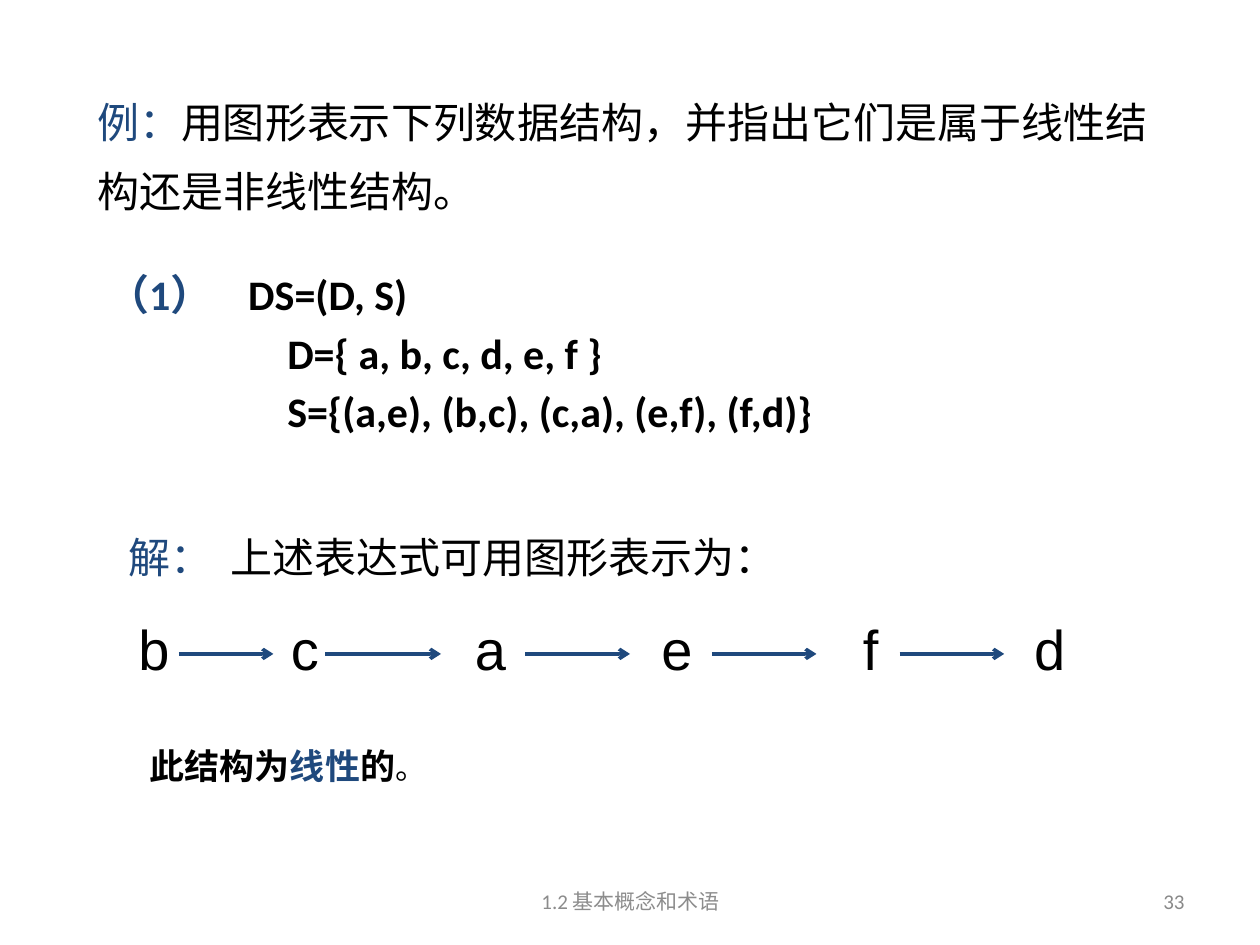
from lxml import etree
from pptx import Presentation
from pptx.dml.color import RGBColor
from pptx.enum import shapes, text
from pptx.oxml.ns import qn
from pptx.util import Inches, Pt

COLORS = {"accent": "1F497D", "ink": "000000", "page": "898989", "footer": "8C8C8C"}
ARROW_Y = 5.19
ARROWS = [(1.42, 2.17), (2.58, 3.5), (4.17, 5), (5.65, 6.48), (7.14, 7.97)]
NODES = {"b": 1, "c": 2.21, "a": 3.67, "e": 5.15, "f": 6.75, "d": 8.11}


def place(sp, box, anchor=text.MSO_ANCHOR.TOP):
    sp.left, sp.top, sp.width, sp.height = map(Inches, box)
    tf = sp.text_frame
    tf.word_wrap = True
    tf.auto_size = text.MSO_AUTO_SIZE.NONE
    tf.vertical_anchor = anchor
    return tf


def add_text(slide, box, **options):
    return place(slide.shapes.add_textbox(*map(Inches, box)), box, **options)


def set_paragraph(p, runs, base, margin=0, hanging=0, **formats):
    """Fill p with (text, font changes) runs on top of the base font values."""
    pPr = p._p.get_or_add_pPr()
    pPr.set("marL", str(Inches(margin)))
    pPr.set("indent", str(-Inches(hanging)))
    etree.SubElement(pPr, qn("a:buNone"))
    for name, value in {"alignment": text.PP_ALIGN.LEFT, "space_before": Pt(0),
                        **formats}.items():
        setattr(p, name, value)
    for words, changes in runs:
        values = {"bold": False, "color": "ink", **base, **changes}
        r = p.add_run()
        r.text = words
        r.font.color.rgb = RGBColor.from_string(COLORS[values.pop("color")])
        for name, value in values.items():
            setattr(r.font, name, value)


def add_arrow(slide, start, end):
    line = slide.shapes.add_connector(
        shapes.MSO_CONNECTOR.STRAIGHT,
        Inches(start), Inches(ARROW_Y), Inches(end), Inches(ARROW_Y))
    line.line.color.rgb = RGBColor.from_string(COLORS["accent"])
    line.line.width = Pt(2)
    etree.SubElement(line.line._get_or_add_ln(), qn("a:tailEnd"), type="arrow")
    etree.SubElement(line._element.spPr, qn("a:effectLst"))


def add_definition(body):
    tf = place(body, (0.75, 2.08, 8.5, 2))
    base = {"name": "Calibri", "size": Pt(24), "bold": True}
    set_paragraph(tf.paragraphs[0], [("（1）", {"color": "accent"}), ("\tDS=(D, S)", {})],
                  base, margin=1.12, hanging=1.12)
    for words in ("D={ a, b, c, d, e, f }", "S={(a,e), (b,c), (c,a), (e,f), (f,d)}"):
        set_paragraph(tf.add_paragraph(), [(words, {})], base, margin=1.43,
                      space_before=Pt(4.8))


def add_graph(slide):
    for node, left in NODES.items():
        tf = add_text(slide, (left, 4.83, 0.5, 0.63))
        set_paragraph(tf.paragraphs[0], [(node, {})], {"name": "Arial", "size": Pt(32)})
    for start, end in ARROWS:
        add_arrow(slide, start, end)


def main():
    prs = Presentation()
    prs.slide_width, prs.slide_height = Inches(10), Inches(7.5)
    slide = prs.slides.add_slide(prs.slide_layouts[1])
    accent = {"color": "accent"}

    question = place(slide.shapes.title, (0.67, 0.58, 8.58, 1.18))
    set_paragraph(question.paragraphs[0], [
        ("例：", accent),
        ("用图形表示下列数据结构，并指出它们是属于线性结构还是非线性结构。", {}),
    ], {"name": "Montserrat", "size": Pt(24)}, line_spacing=1.35)

    add_definition(slide.placeholders[1])

    solution = add_text(slide, (0.92, 4.17, 7.58, 0.5))
    set_paragraph(solution.paragraphs[0],
                  [("解：", accent), ("\t上述表达式可用图形表示为：", {})],
                  {"name": "Arial", "size": Pt(24)}, margin=0.81, hanging=0.81)

    add_graph(slide)

    conclusion = add_text(slide, (1.09, 5.86, 5, 0.44))
    set_paragraph(conclusion.paragraphs[0], [
        ("此结构为", {}), ("线性", accent), ("的", {}),
        ("。", {"size": Pt(18), "bold": False}),
    ], {"name": "Arial", "size": Pt(20), "bold": True})

    for words, box, align, color in (
        ("1.2 基本概念和术语", (3.42, 6.95, 3.17, 0.4), text.PP_ALIGN.CENTER, "footer"),
        ("33", (7.17, 6.95, 2.33, 0.4), text.PP_ALIGN.RIGHT, "page"),
    ):
        tf = add_text(slide, box, anchor=text.MSO_ANCHOR.MIDDLE)
        set_paragraph(tf.paragraphs[0], [(words, {"color": color})],
                      {"name": "Calibri", "size": Pt(12)}, alignment=align)

    prs.save("out.pptx")


if __name__ == "__main__":
    main()
